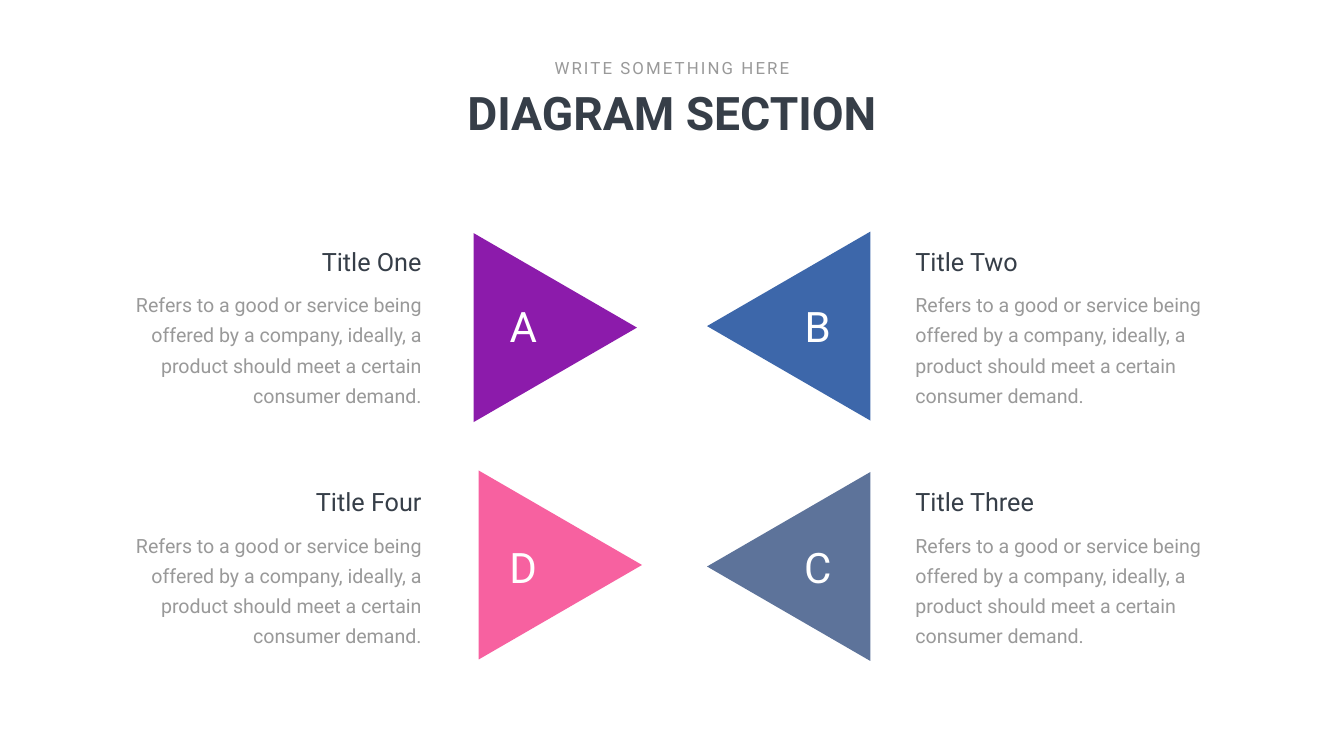
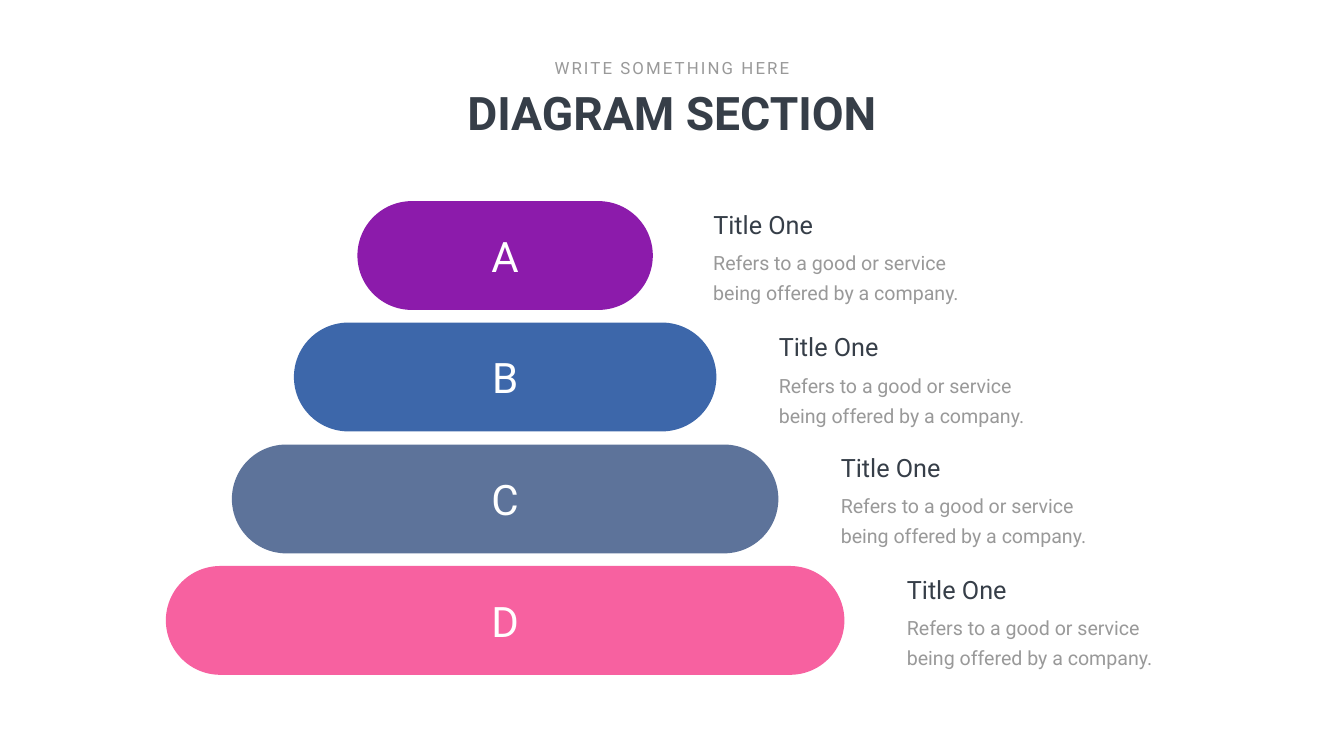
from pptx import Presentation
from pptx.dml.color import RGBColor
from pptx.enum.shapes import MSO_SHAPE as Shape
from pptx.enum.text import MSO_ANCHOR as Anchor, PP_ALIGN as Align
from pptx.util import Emu, Pt

PX = 9144  # EMU per px, 100 px to the inch
FONT = "Roboto"
DARK, GREY, WHITE = "363E48", "999999", "FFFFFF"
PURPLE, BLUE, SLATE, PINK = "8C1BAB", "3D67AA", "5D739A", "F761A0"
SHORT_TEXT = "Refers to a good or service being offered by a company."
LONG_TEXT = ("Refers to a good or service being offered by a company, ideally, "
             "a product should meet a certain consumer demand.")


def px(*lengths):
    return [Emu(round(length * PX)) for length in lengths]


def color(value):
    return RGBColor.from_string(value)


def add_text(page, frame, text, size, fill, align=Align.LEFT, anchor=Anchor.MIDDLE,
             bold=False, wrap=True, line=None, tracking=None):
    """Add a one-paragraph text box; line and tracking are in points."""
    box = page.shapes.add_textbox(*px(*frame)).text_frame
    box.word_wrap = wrap
    box.vertical_anchor = anchor
    para = box.paragraphs[0]
    para.alignment = align
    if line:
        para.line_spacing = Pt(line)
    span = para.add_run()
    span.text = text
    if tracking:
        span._r.get_or_add_rPr().set("spc", str(tracking * 100))
    font = para.font
    font.name, font.size, font.bold = FONT, Pt(size), bold
    font.color.rgb = color(fill)


def add_figure(page, kind, frame, fill, rotation=0):
    figure = page.shapes.add_shape(kind, *px(*frame))
    figure.shadow.inherit = False
    figure.fill.solid()
    figure.fill.fore_color.rgb = color(fill)
    figure.line.fill.background()
    figure.rotation = rotation
    return figure


def add_letter(page, frame, letter):
    add_text(page, frame, letter, 60, WHITE, Align.CENTER)


def add_caption(page, left, top, width, title, text, drop, height, align=Align.LEFT):
    """Add a title and, drop px below it, its description."""
    title_width = 419
    title_left = left + width - title_width if align == Align.RIGHT else left
    add_text(page, (title_left, top, title_width, 71), title, 36, DARK, align)
    add_text(page, (left, top + drop, width, height), text, 28, GREY, align,
             Anchor.TOP, line=43)


def add_page(deck):
    page = deck.slides.add_slide(deck.slide_layouts[6])
    page.background.fill.solid()
    page.background.fill.fore_color.rgb = color(WHITE)
    add_text(page, (761, 161, 1144, 121), "DIAGRAM SECTION", 66, DARK,
             Align.CENTER, bold=True)
    add_text(page, (1083, 110, 500, 50), "WRITE SOMETHING HERE", 24, GREY,
             Align.CENTER, wrap=False, tracking=3)
    return page


def build_triangles(deck):
    page = add_page(deck)
    row_pitch = 477
    triangles = [  # letter, title, fill, row, on the left, shape left, shape top
        ("A", "Title One", PURPLE, 0, True, 914, 488),
        ("B", "Title Two", BLUE, 0, False, 1377, 485),
        ("C", "Title Three", SLATE, 1, False, 1377, 962),
        ("D", "Title Four", PINK, 1, True, 924, 959),
    ]
    for letter, title, fill, row, on_left, left, top in triangles:
        shift = row * row_pitch
        add_figure(page, Shape.ISOSCELES_TRIANGLE, (left, top, 375, 324), fill,
                   90 if on_left else 270)
        add_letter(page, (986 if on_left else 1570, 591 + shift, 104, 111), letter)
        add_caption(page, 244 if on_left else 1806, 483 + shift, 602, title,
                    LONG_TEXT, 81, 246, Align.RIGHT if on_left else Align.LEFT)


def build_pyramid(deck):
    page = add_page(deck)
    center, first_top, pitch, height = 1002, 399, 241.3, 216
    levels = [  # letter, fill, pill width, caption left, caption top
        ("A", PURPLE, 586, 1405, 409),
        ("B", BLUE, 838, 1535, 652),
        ("C", SLATE, 1084, 1658, 891),
        ("D", PINK, 1346, 1789, 1133),
    ]
    for index, (letter, fill, width, left, caption_top) in enumerate(levels):
        top = round(first_top + index * pitch)
        pill = add_figure(page, Shape.ROUNDED_RECTANGLE,
                          (center - width // 2, top, width, height), fill)
        pill.adjustments[0] = 0.5
        add_letter(page, (center - 76, top + 47, 152, 122), letter)
        add_caption(page, left, caption_top, 547, "Title One", SHORT_TEXT, 71, 125)


def main():
    deck = Presentation()
    deck.slide_width, deck.slide_height = px(2666, 1500)
    build_triangles(deck)
    build_pyramid(deck)
    deck.save("out.pptx")


if __name__ == "__main__":
    main()
